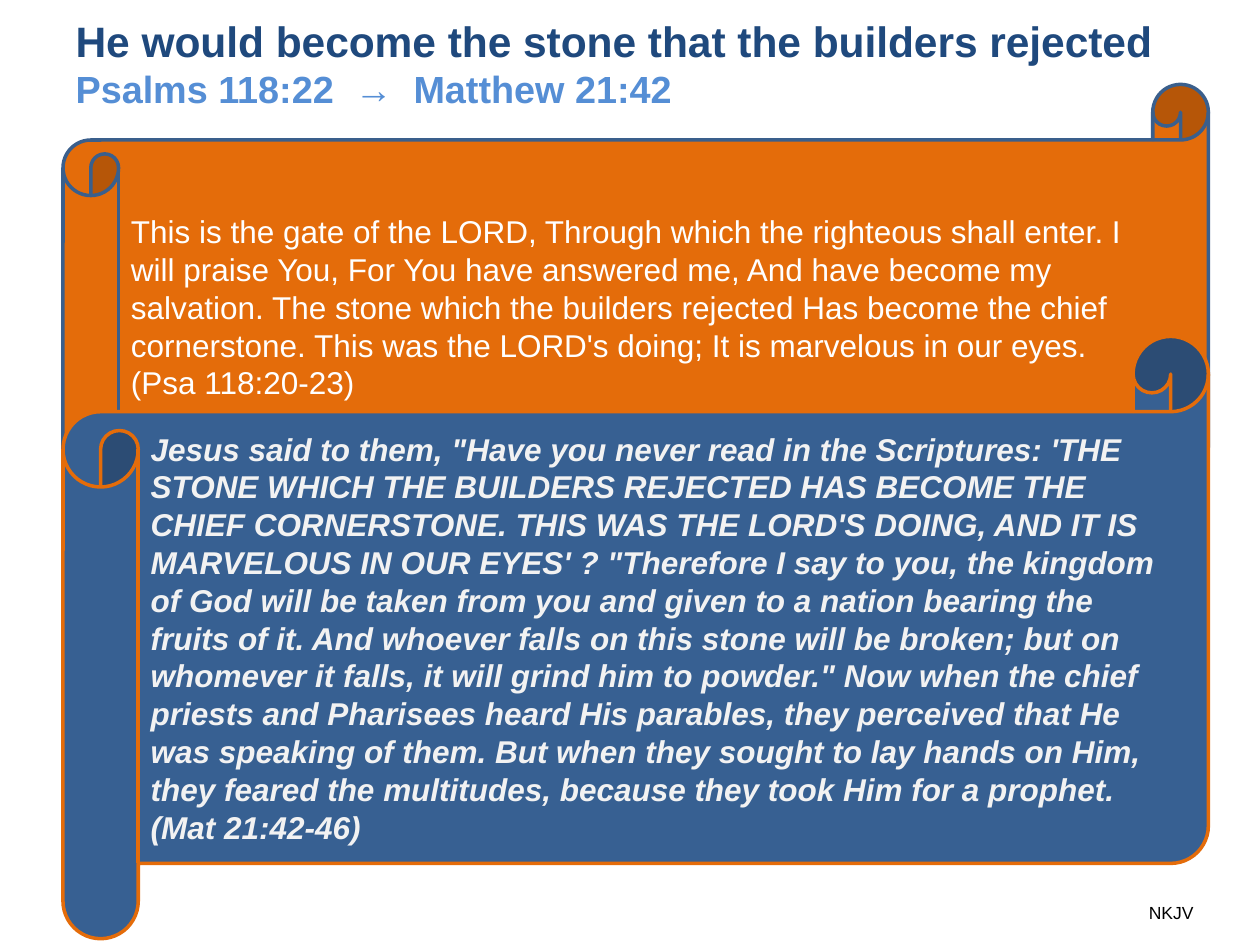
from lxml.etree import SubElement
from pptx import Presentation
from pptx.dml.color import RGBColor
from pptx.enum.shapes import MSO_SHAPE
from pptx.enum.text import MSO_ANCHOR, MSO_AUTO_SIZE, PP_ALIGN
from pptx.oxml.ns import qn
from pptx.util import Inches, Pt

COLORS = {
    "navy": "1F497D", "sky": "558ED5", "orange": "E46C0A", "edge": "3A5F8C",
    "blue": "376092", "white": "FFFFFF", "pale": "F2F2F2", "black": "000000",
}
PSALM = (
    "This is the gate of the LORD, Through which the righteous shall enter. "
    "I will praise You, For You have answered me, And have become my salvation. "
    "The stone which the builders rejected Has become the chief cornerstone. "
    "This was the LORD's doing; It is marvelous in our eyes.\n(Psa 118:20-23)"
)
GOSPEL = (
    "Jesus said to them, \"Have you never read in the Scriptures: 'THE STONE WHICH "
    "THE BUILDERS REJECTED HAS BECOME THE CHIEF CORNERSTONE. THIS WAS THE LORD'S "
    "DOING, AND IT IS MARVELOUS IN OUR EYES' ? \"Therefore I say to you, the kingdom "
    "of God will be taken from you and given to a nation bearing the fruits of it. "
    "And whoever falls on this stone will be broken; but on whomever it falls, it "
    "will grind him to powder.\" Now when the chief priests and Pharisees heard His "
    "parables, they perceived that He was speaking of them. But when they sought to "
    "lay hands on Him, they feared the multitudes, because they took Him for a "
    "prophet. (Mat 21:42-46)"
)


def color(name):
    return RGBColor.from_string(COLORS[name])


def style(run, size, tint, bold=False, italic=False):
    font = run.font
    font.name = "Arial"
    font.size = Pt(size)
    font.bold = bold
    font.italic = italic
    font.color.rgb = color(tint)


def add_title(slide, box):
    title = slide.shapes.title
    title.left, title.top, title.width, title.height = map(Inches, box)
    frame = title.text_frame
    frame.word_wrap = True
    frame.vertical_anchor = MSO_ANCHOR.MIDDLE
    para = frame.paragraphs[0]
    para.text = (
        "He would become the stone that the builders rejected\v"
        "Psalms 118:22  →  Matthew 21:42"
    )
    para.alignment = PP_ALIGN.LEFT
    head, verse = para.runs
    style(head, 24.3, "navy", bold=True)
    style(verse, 21.6, "sky", bold=True)
    for gap in frame._txBody.iter(qn("a:br")):
        SubElement(gap, qn("a:rPr"), sz="2430")


def add_scroll(slide, box, text, fill, line, tint, strong=False):
    scroll = slide.shapes.add_shape(MSO_SHAPE.HORIZONTAL_SCROLL, *map(Inches, box))
    scroll.shadow.inherit = False
    scroll.fill.solid()
    scroll.fill.fore_color.rgb = color(fill)
    scroll.line.color.rgb = color(line)
    scroll.line.width = Pt(2)
    frame = scroll.text_frame
    frame.word_wrap = True
    frame.vertical_anchor = MSO_ANCHOR.MIDDLE
    frame.text = text
    for para in frame.paragraphs:
        para.alignment = PP_ALIGN.LEFT
        for run in para.runs:
            style(run, 18, tint, strong, strong)


def add_credit(slide, box):
    frame = slide.shapes.add_textbox(*map(Inches, box)).text_frame
    frame.word_wrap = False
    frame.auto_size = MSO_AUTO_SIZE.SHAPE_TO_FIT_TEXT
    frame.text = "NKJV"
    style(frame.paragraphs[0].runs[0], 10, "black")


def main():
    deck = Presentation()
    deck.slide_width, deck.slide_height = Inches(10), Inches(7.5)
    slide = deck.slides.add_slide(deck.slide_layouts[5])
    add_title(slide, (0.5, 0, 9.42, 1))
    add_scroll(slide, (0.5, 0.67, 9.09, 3.53), PSALM, "orange", "edge", "white")
    add_scroll(slide, (0.5, 2.67, 9.09, 4.78), GOSPEL, "blue", "orange", "pale", True)
    add_credit(slide, (9.02, 7.11, 0.56, 0.27))
    deck.save("out.pptx")


if __name__ == "__main__":
    main()
